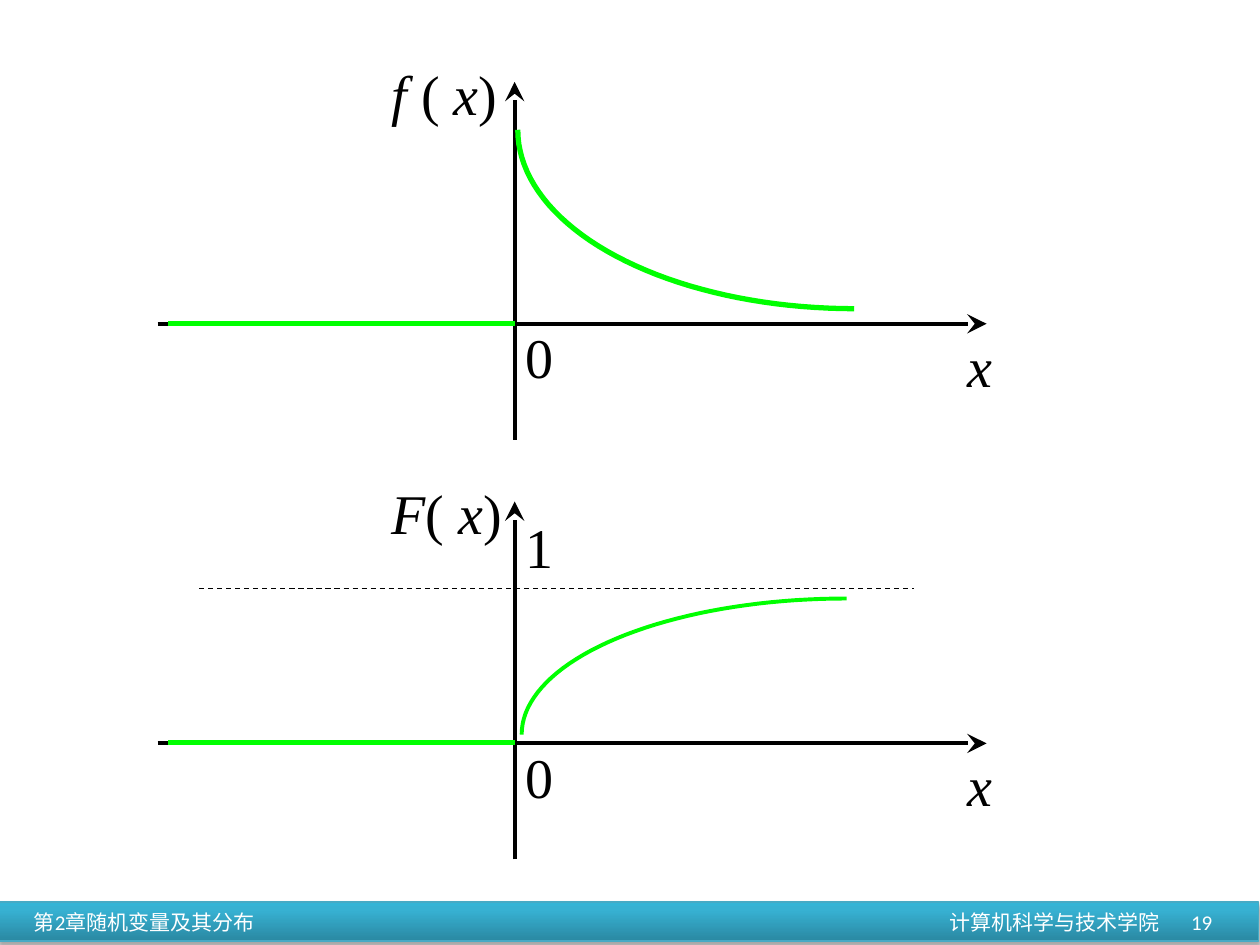
import copy
import math

import pptx
import pptx.dml.color
import pptx.enum.dml
import pptx.enum.shapes
import pptx.enum.text
import pptx.oxml
import pptx.oxml.ns
import pptx.util

RGBColor = pptx.dml.color.RGBColor
BLACK = RGBColor(0x00, 0x00, 0x00)
WHITE = RGBColor(0xFF, 0xFF, 0xFF)
GREEN = RGBColor(0x00, 0xFF, 0x00)
BAR_LINE = RGBColor(0x46, 0xAA, 0xC5)
BAR_STOPS = (
    (0, RGBColor(0x2A, 0x88, 0xA2)),
    (0.8, RGBColor(0x37, 0xB1, 0xD2)),
    (1, RGBColor(0x34, 0xB4, 0xD6)),
)
COLUMNS, ROWS = 100, 75
CELL = pptx.util.Inches(10) // COLUMNS
AXIS_COLUMN = 40.85
NAMESPACE = pptx.oxml.ns.nsdecls("a")
ARROWHEAD = f'<a:tailEnd {NAMESPACE} type="stealth" w="lg" len="lg"/>'
SHADOW = (
    f'<a:outerShdw {NAMESPACE} blurRad="39400" dist="22900" '
    'dir="5400000" rotWithShape="0"><a:srgbClr val="000000">'
    '<a:alpha val="35000"/></a:srgbClr></a:outerShdw>'
)


def grid(*cells):
    """Turn columns or rows of the grid into slide lengths."""
    return [pptx.util.Emu(round(cell * CELL)) for cell in cells]


def write_text(shape, runs, size=32, font="Times New Roman", color=BLACK, align="LEFT",
               wrap=False, anchor="TOP"):
    """Write (text, italic) runs into a shape in one format."""
    frame = shape.text_frame
    frame.word_wrap = wrap
    frame.vertical_anchor = getattr(pptx.enum.text.MSO_ANCHOR, anchor)
    paragraph = frame.paragraphs[0]
    paragraph.alignment = getattr(pptx.enum.text.PP_ALIGN, align)
    for text, italic in runs:
        run = paragraph.add_run()
        run.text = text
        run.font.size = pptx.util.Pt(size)
        run.font.name = font
        run.font.italic = italic
        run.font.color.rgb = color


def add_label(slide, left, top, width, *runs, height=6.3, **style):
    """Add a text box holding the given runs."""
    box = slide.shapes.add_textbox(*grid(left, top, width, height))
    write_text(box, runs, **style)


def add_line(slide, start, end, color=BLACK, width=2.25, arrow=False, dashed=False):
    """Add a straight line, dashed or with a stealth arrowhead on request."""
    line = slide.shapes.add_connector(
        pptx.enum.shapes.MSO_CONNECTOR.STRAIGHT, *grid(*start, *end))
    line.line.color.rgb = color
    line.line.width = pptx.util.Pt(width)
    if dashed:
        line.line.dash_style = pptx.enum.dml.MSO_LINE.DASH
    properties = line._element.spPr
    if arrow:
        outline = properties.find(pptx.oxml.ns.qn("a:ln"))
        outline.append(pptx.oxml.parse_xml(ARROWHEAD))
    properties.append(pptx.oxml.parse_xml(f"<a:effectLst {NAMESPACE}/>"))


def add_curve(slide, center, radius_x, radius_y, width, steps=40):
    """Add a quarter ellipse from the left of its center to a vertical offset."""
    angles = [math.pi / 2 * step / steps for step in range(steps + 1)]
    points = [grid(center[0] - radius_x * math.cos(angle),
                   center[1] + radius_y * math.sin(angle)) for angle in angles]
    builder = slide.shapes.build_freeform(*points[0])
    builder.add_line_segments(points[1:], close=False)
    curve = builder.convert_to_shape()
    curve.shadow.inherit = False
    curve.fill.background()
    curve.line.color.rgb = GREEN
    curve.line.width = pptx.util.Pt(width)


def add_axes(slide, row, *function_runs):
    """Add labelled axes with the zero branch of a function left of the origin."""
    add_line(slide, (12.5, row), (78.3, row), arrow=True)
    add_line(slide, (AXIS_COLUMN, row + 9.2), (AXIS_COLUMN, row - 19.2), arrow=True)
    add_line(slide, (13.35, row - 0.05), (AXIS_COLUMN, row - 0.05), color=GREEN, width=3)
    add_label(slide, 75.8, row + 0.1, 4, ("x", True))
    add_label(slide, 30.1, row - 21.5, 12, *function_runs)
    add_label(slide, 40.75, row - 0.6, 4.2, ("0", False))


def add_footer(slide):
    """Add the gradient bar with the chapter, the school and the slide number."""
    bar = slide.shapes.add_shape(
        pptx.enum.shapes.MSO_SHAPE.RECTANGLE, *grid(-0.1, 71.6, COLUMNS, 3.1))
    bar.shadow.inherit = False
    properties = bar._element.spPr
    properties.find(pptx.oxml.ns.qn("a:effectLst")).append(pptx.oxml.parse_xml(SHADOW))
    bar.line.color.rgb = BAR_LINE
    bar.line.width = pptx.util.Pt(0.75)
    bar.fill.gradient()
    bar.fill.gradient_angle = 90
    stops = properties.find(".//" + pptx.oxml.ns.qn("a:gsLst"))
    stops.insert(1, copy.deepcopy(stops[0]))
    for stop, (position, color) in zip(bar.fill.gradient_stops, BAR_STOPS):
        stop.position = position
        stop.color.rgb = color
    style = dict(size=12, font="Calibri", color=WHITE, wrap=True, anchor="MIDDLE")
    bar.text_frame.margin_left = grid(2.8)[0]
    write_text(bar, [("第2章随机变量及其分布", False)], **style)
    add_label(slide, 63, 71.6, 30, ("计算机科学与技术学院", False),
              height=3.1, align="RIGHT", **style)
    add_label(slide, 73.9, 71.2, 23.3, ("19", False), height=4, align="RIGHT", **style)


def main():
    """Build the density and distribution graphs and save the slide."""
    presentation = pptx.Presentation()
    presentation.slide_width, presentation.slide_height = grid(COLUMNS, ROWS)
    slide = presentation.slides.add_slide(presentation.slide_layouts[6])
    add_footer(slide)
    add_line(slide, (15.8, 46.7), (72.5, 46.7), width=0.75, dashed=True)
    add_label(slide, 40.7, 40.2, 4.2, ("1", False))
    add_axes(slide, 59, ("F", True), ("( ", False), ("x", True), (")", False))
    add_curve(slide, (67.2, 58.3), 25.8, -10.8, 2.25)
    add_axes(slide, 25.7, ("f", True), (" ( ", False), ("x", True), (")", False))
    add_curve(slide, (67.8, 10.3), 26.7, 14.2, 3)
    presentation.save("out.pptx")


if __name__ == "__main__":
    main()
